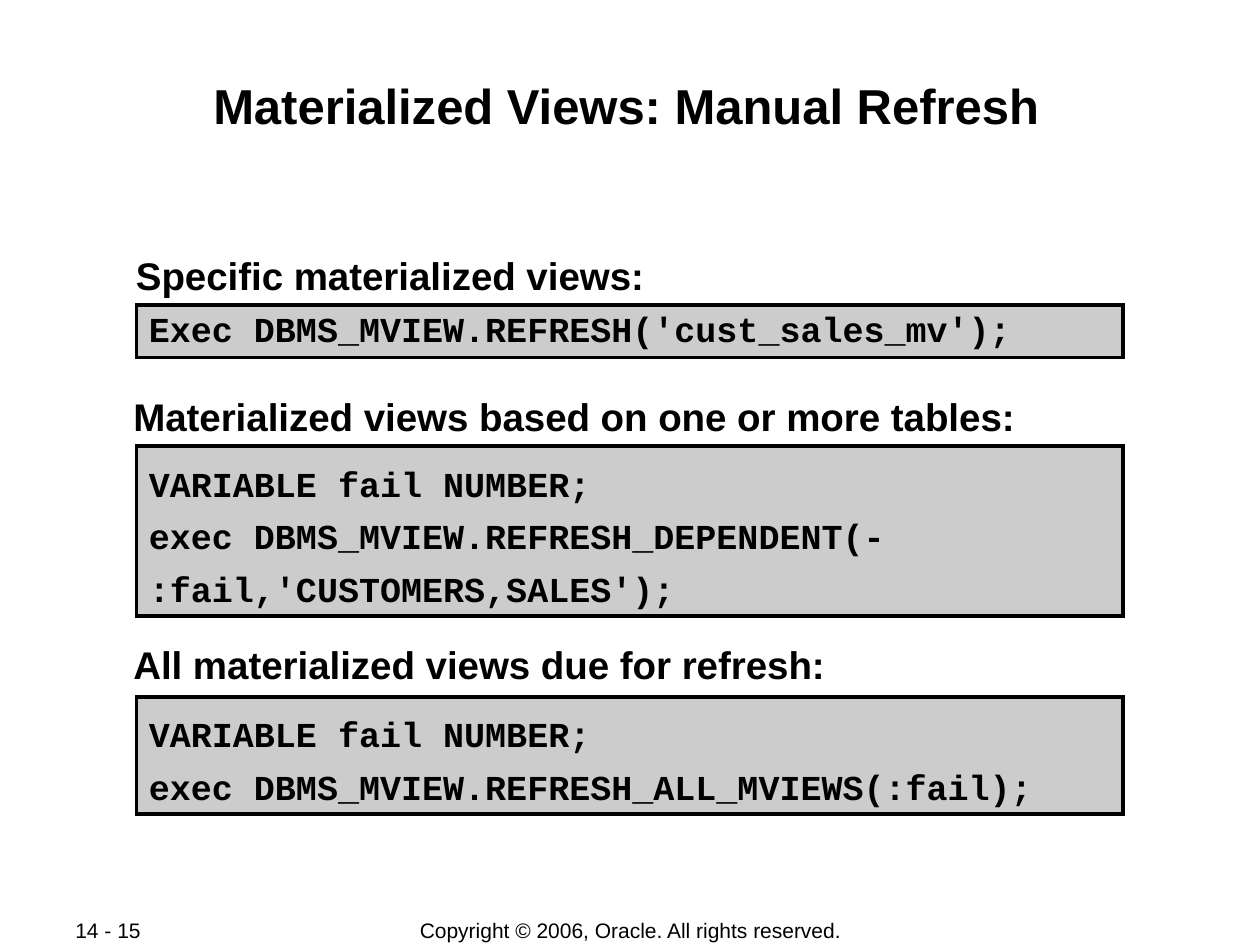
import lxml.etree
import pptx
import pptx.dml.color
import pptx.enum.shapes
import pptx.enum.text
import pptx.oxml.ns
import pptx.util

Pt = pptx.util.Pt
Align = pptx.enum.text.PP_ALIGN
Anchor = pptx.enum.text.MSO_ANCHOR

TITLE = "Materialized Views: Manual Refresh"
# heading, its left and top; code lines, box top, box height, line spacing
SECTIONS = [
    ("Specific materialized views:", 67.7, 143.3,
     ["Exec DBMS_MVIEW.REFRESH('cust_sales_mv');"], 174.2, 30.2, 0.95),
    ("Materialized views based on one or more tables:", 66.2, 223.9,
     ["VARIABLE fail NUMBER;",
      "exec DBMS_MVIEW.REFRESH_DEPENDENT(-",
      ":fail,'CUSTOMERS,SALES');"], 254.9, 97.2, 1.25),
    ("All materialized views due for refresh:", 66.2, 365.8,
     ["VARIABLE fail NUMBER;",
      "exec DBMS_MVIEW.REFRESH_ALL_MVIEWS(:fail);"], 398.2, 67, 1.25),
]
# text, left, width, alignment
FOOTERS = [
    ("14 - 15", 36, 76.3, Align.LEFT),
    ("Copyright © 2006, Oracle. All rights reserved.", 198.7, 323.3, Align.CENTER),
]
CODE_LEFT, CODE_WIDTH = 78, 563.8
HEADING_WIDTH, HEADING_HEIGHT = 580.3, 28.1
FOOTER_TOP, FOOTER_HEIGHT = 524.2, 14.6


def color(hex_string):
    return pptx.dml.color.RGBColor.from_string(hex_string)


def write(shape, lines, size, font="Arial", bold=True, align=Align.LEFT,
          anchor=Anchor.TOP, insets=(0.7, 0.7, 0.7, 0.7), wrap=True, spacing=1.0):
    """Fill a shape with one paragraph per line; insets are left, top, right, bottom."""
    frame = shape.text_frame
    frame.auto_size = pptx.enum.text.MSO_AUTO_SIZE.NONE
    frame.word_wrap = wrap
    frame.vertical_anchor = anchor
    (frame.margin_left, frame.margin_top,
     frame.margin_right, frame.margin_bottom) = map(Pt, insets)
    for index, line in enumerate(lines):
        paragraph = frame.add_paragraph() if index else frame.paragraphs[0]
        paragraph.alignment = align
        paragraph.line_spacing = spacing
        paragraph.space_before = Pt(0)
        run = paragraph.add_run()
        run.text = line
        run.font.name = font
        run.font.size = Pt(size)
        run.font.bold = bold
        run.font.color.rgb = color("000000")


def add_code_box(slide, lines, top, height, spacing):
    box = slide.shapes.add_shape(
        pptx.enum.shapes.MSO_SHAPE.RECTANGLE,
        Pt(CODE_LEFT), Pt(top), Pt(CODE_WIDTH), Pt(height))
    box.shadow.inherit = False
    box.fill.solid()
    box.fill.fore_color.rgb = color("CCCCCC")
    box.line.color.rgb = color("000000")
    box.line.width = Pt(2)
    outline = box.element.spPr.find(pptx.oxml.ns.qn("a:ln"))
    lxml.etree.SubElement(outline, pptx.oxml.ns.qn("a:miter"), lim="800000")
    write(box, lines, 20, font="Courier New", insets=(7.2, 3.2, 7.2, 2), spacing=spacing)


def main():
    presentation = pptx.Presentation()
    presentation.slide_width, presentation.slide_height = Pt(720), Pt(540)
    slide = presentation.slides.add_slide(presentation.slide_layouts[5])

    title = slide.shapes.title
    title.left, title.top, title.width, title.height = map(Pt, (69.8, 41.8, 576, 69.1))
    write(title, [TITLE], 28, align=Align.CENTER, insets=(0.7, 1.2, 0.7, 0.7))

    for heading, left, heading_top, code, code_top, code_height, spacing in SECTIONS:
        box = slide.shapes.add_textbox(
            Pt(left), Pt(heading_top), Pt(HEADING_WIDTH), Pt(HEADING_HEIGHT))
        write(box, [heading], 22, insets=(10, 0.7, 0.7, 0.7))
        add_code_box(slide, code, code_top, code_height, spacing)

    for text, left, width, align in FOOTERS:
        box = slide.shapes.add_textbox(
            Pt(left), Pt(FOOTER_TOP), Pt(width), Pt(FOOTER_HEIGHT))
        write(box, [text], 12, bold=False, align=align, anchor=Anchor.MIDDLE,
              insets=(7.2, 3.6, 7.2, 3.6), wrap=False)

    presentation.save("out.pptx")


if __name__ == "__main__":
    main()
